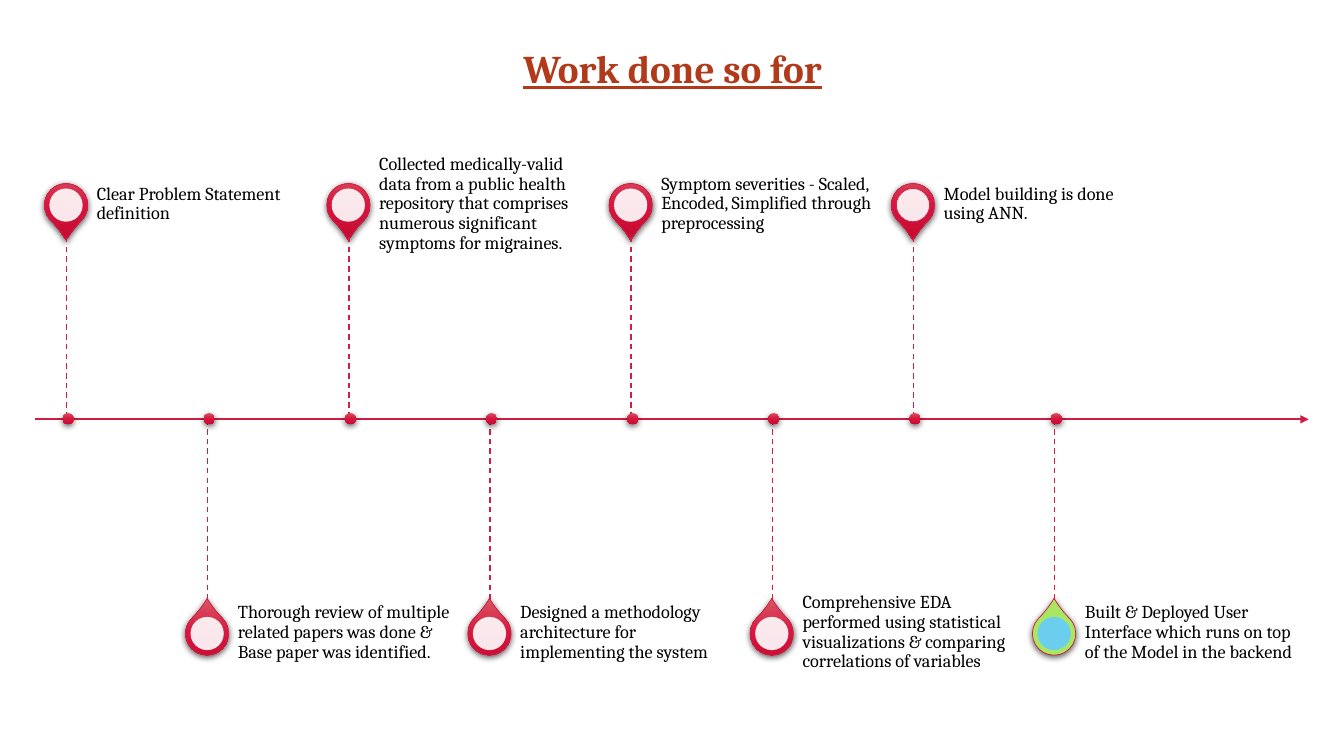
from dataclasses import dataclass
from typing import Optional

from pptx import Presentation
from pptx.dml.color import RGBColor
from pptx.enum.dml import MSO_LINE
from pptx.enum.shapes import MSO_CONNECTOR, MSO_SHAPE
from pptx.enum.text import MSO_ANCHOR, MSO_AUTO_SIZE, PP_ALIGN
from pptx.oxml import parse_xml
from pptx.oxml.ns import nsdecls, qn
from pptx.util import Emu, Pt

PX = 9144  # 100 px to the inch

BLACK = RGBColor(0x00, 0x00, 0x00)
WHITE = RGBColor(0xFF, 0xFF, 0xFF)
RUST = RGBColor(0xB1, 0x3A, 0x1B)
CRIMSON = RGBColor(0xCE, 0x1E, 0x43)
RED_LIGHT = RGBColor(0xD8, 0x4E, 0x5F)
RED_MID = RGBColor(0xD7, 0x15, 0x3E)
RED_DARK = RGBColor(0xC7, 0x0B, 0x32)
LIME = RGBColor(0xAA, 0xE7, 0x61)
SKY = RGBColor(0x66, 0xCC, 0xFF)

AXIS_Y = 416
FIRST_X, STEP_X = 66, 140
PIN, CORE, DOT = 43, 33, 11


@dataclass
class Milestone:
    label: str
    pin: Optional[RGBColor] = None
    core: RGBColor = WHITE
    rim: Optional[RGBColor] = None


@dataclass
class Row:
    """Vertical places of the pins on one side of the axis."""
    pin_top: int
    label_top: int
    stem_end: int
    rotation: int


ABOVE = Row(pin_top=182, label_top=171, stem_end=235, rotation=135)
BELOW = Row(pin_top=607, label_top=596, stem_end=596, rotation=315)

MILESTONES = [
    Milestone("Clear Problem Statement definition"),
    Milestone("Thorough review of multiple related papers was done & "
              "Base paper was identified."),
    Milestone("Collected medically-valid data from a public health repository "
              "that comprises numerous significant symptoms for migraines."),
    Milestone("Designed a methodology architecture for implementing the system"),
    Milestone("Symptom severities - Scaled, Encoded, Simplified through preprocessing"),
    Milestone("Comprehensive EDA performed using statistical visualizations & "
              "comparing correlations of variables"),
    Milestone("Model building is done using ANN.", rim=CRIMSON),
    Milestone("Built & Deployed User Interface which runs on top of the Model "
              "in the backend", pin=LIME, core=SKY),
]


class TimelineSlide:
    font = "Cambria"

    def __init__(self, presentation):
        self.slide = presentation.slides.add_slide(presentation.slide_layouts[6])
        self.shapes = self.slide.shapes

    def shape(self, kind, left, top, size, fill=None, rim=None, alpha=None, shadow=False):
        """Square-framed shape; without a fill colour it gets the red gradient."""
        item = self.shapes.add_shape(kind, *(Emu(v * PX) for v in (left, top, size, size)))
        if fill is None:
            self.red_gradient(item)
        else:
            item.fill.solid()
            item.fill.fore_color.rgb = fill
        if alpha is not None:
            color = item.fill._xPr.find(qn("a:solidFill"))[0]
            color.append(parse_xml(f'<a:alpha {nsdecls("a")} val="{alpha * 1000}"/>'))
        if rim is None:
            item.line.fill.background()
        else:
            item.line.color.rgb = rim
            item.line.width = Pt(0.5)
        item.shadow.inherit = False
        if shadow:
            item._element.spPr.find(qn("a:effectLst")).append(parse_xml(
                f'<a:outerShdw {nsdecls("a")} blurRad="{Pt(4.5)}" dist="{Pt(1.5)}" '
                'dir="5400000" algn="ctr" rotWithShape="0">'
                f'<a:srgbClr val="{BLACK}"><a:alpha val="63000"/></a:srgbClr></a:outerShdw>'))
        return item

    def red_gradient(self, item):
        """Three stops running downwards, whatever the rotation of the shape."""
        stops = "".join(
            f'<a:gs pos="{place * 1000}"><a:srgbClr val="{color}"/></a:gs>'
            for place, color in ((0, RED_LIGHT), (50, RED_MID), (100, RED_DARK)))
        item._element.spPr.find(qn("a:prstGeom")).addnext(parse_xml(
            f'<a:gradFill {nsdecls("a")} rotWithShape="0"><a:gsLst>{stops}</a:gsLst>'
            '<a:lin ang="5400000" scaled="0"/></a:gradFill>'))

    def line(self, x1, y1, x2, y2, width, dashed=False, arrow=False):
        item = self.shapes.add_connector(
            MSO_CONNECTOR.STRAIGHT, *(Emu(v * PX) for v in (x1, y1, x2, y2)))
        item.line.color.rgb = CRIMSON
        item.line.width = Pt(width)
        if dashed:
            item.line.dash_style = MSO_LINE.DASH
        if arrow:
            item.line._get_or_add_ln().append(
                parse_xml(f'<a:tailEnd {nsdecls("a")} type="triangle"/>'))
        item._element.spPr.append(parse_xml(f'<a:effectLst {nsdecls("a")}/>'))

    def text(self, words, left, top, width, height, size, color):
        """Return the frame and its only paragraph for further formatting."""
        frame = self.shapes.add_textbox(
            *(Emu(v * PX) for v in (left, top, width, height))).text_frame
        frame.word_wrap = True
        frame.text = words
        paragraph = frame.paragraphs[0]
        font = paragraph.runs[0].font
        font.name, font.size, font.color.rgb = self.font, Pt(size), color
        return frame, paragraph

    def title(self, words):
        frame, paragraph = self.text(words, 437, 39, 460, 151, 28, RUST)
        frame.auto_size = MSO_AUTO_SIZE.SHAPE_TO_FIT_TEXT
        paragraph.alignment = PP_ALIGN.CENTER
        font = paragraph.runs[0].font
        font.bold = font.underline = True

    def label(self, words, left, top):
        frame, paragraph = self.text(words, left, top, 221, 63, 13, BLACK)
        frame.vertical_anchor = MSO_ANCHOR.MIDDLE
        frame.margin_left = frame.margin_top = frame.margin_bottom = 0
        frame.margin_right = Emu(9 * PX)
        paragraph.line_spacing = 0.9
        paragraph._p.get_or_add_pPr().append(parse_xml(
            f'<a:spcAft {nsdecls("a")}><a:spcPct val="35000"/></a:spcAft>'))

    def milestone(self, step, x, row):
        pin = self.shape(MSO_SHAPE.TEAR, x - PIN // 2 - 1, row.pin_top, PIN,
                         fill=step.pin, rim=CRIMSON, shadow=True)
        pin.adjustments[0] = 1.15
        pin.rotation = row.rotation
        self.shape(MSO_SHAPE.OVAL, x - CORE // 2 - 1, row.pin_top + (PIN - CORE) // 2, CORE,
                   fill=step.core, rim=step.rim, alpha=90)
        self.label(step.label, x + 30, row.label_top)
        upper, lower = sorted((row.stem_end, AXIS_Y))
        self.line(x, upper, x, lower, 1, dashed=True)
        self.shape(MSO_SHAPE.OVAL, x - 4, AXIS_Y - 6, DOT, shadow=True)


def main():
    presentation = Presentation()
    presentation.slide_width = Emu(1333 * PX)
    presentation.slide_height = Emu(750 * PX)
    timeline = TimelineSlide(presentation)
    timeline.title("Work done so for")
    timeline.line(35, AXIS_Y, 1298, AXIS_Y, 1.5, arrow=True)
    for index, step in enumerate(MILESTONES):
        timeline.milestone(step, FIRST_X + index * STEP_X, BELOW if index % 2 else ABOVE)
    presentation.save("out.pptx")


if __name__ == "__main__":
    main()
